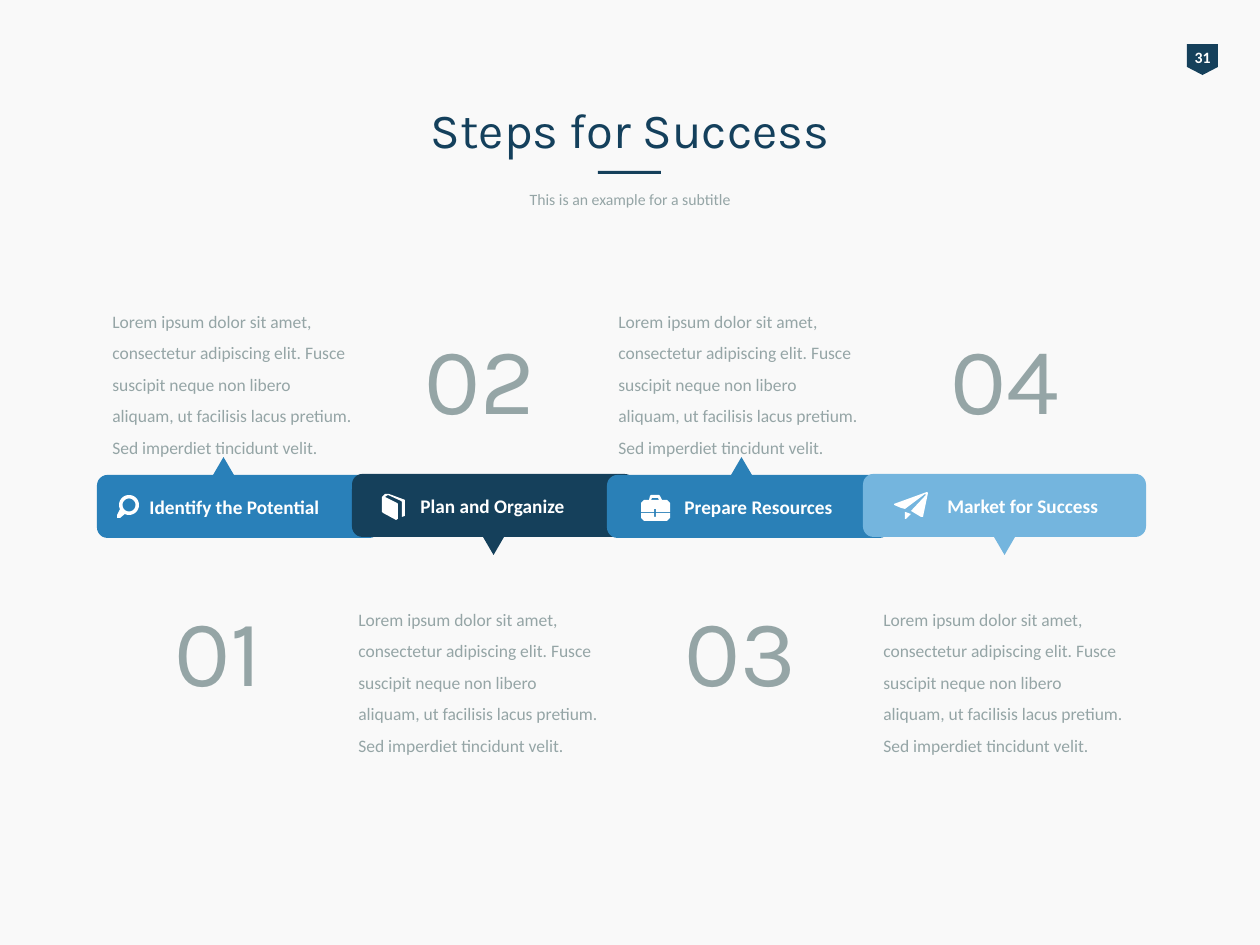
import math
import pptx
import pptx.dml.color
import pptx.enum.shapes
import pptx.enum.text
import pptx.util

RGBColor = pptx.dml.color.RGBColor
Shape = pptx.enum.shapes.MSO_SHAPE
Align = pptx.enum.text.PP_ALIGN
Anchor = pptx.enum.text.MSO_ANCHOR
Pt = pptx.util.Pt

SCALE = 914400 / 126
PAGE_COLOR = RGBColor(0xF9, 0xF9, 0xF9)
NAVY = RGBColor(0x15, 0x40, 0x5B)
TITLE_NAVY = RGBColor(0x14, 0x40, 0x5C)
BLUE = RGBColor(0x29, 0x80, 0xB9)
MID_BLUE = RGBColor(0x2A, 0x80, 0xB7)
SKY = RGBColor(0x74, 0xB5, 0xDE)
GRAY = RGBColor(0x95, 0xA5, 0xA6)
WHITE = RGBColor(0xFF, 0xFF, 0xFF)

BODY = ("Lorem ipsum dolor sit amet, consectetur adipiscing elit. Fusce suscipit neque "
        "non libero aliquam, ut facilisis lacus pretium. Sed imperdiet tincidunt velit.")
TITLE_FONT = {"name": "Karla", "size": Pt(28)}
NUMBER_FONT = {"name": "Karla", "size": Pt(54)}
SUBTITLE_FONT = {"name": "Calibri", "size": Pt(9)}
BODY_FONT = {"name": "Calibri", "size": Pt(10)}
BADGE_FONT = {"name": "Calibri", "size": Pt(9), "bold": True}
LABEL_FONT = {"name": "Calibri", "size": Pt(11), "bold": True}
BAR_WIDTH, BAR_HEIGHT = 283, 63
POINTER_WIDTH, POINTER_HEIGHT = 21, 18


def px(value):
    return pptx.util.Emu(round(value * SCALE))


def arc(center_x, center_y, radius, start, end, step):
    angles = [math.radians(angle) for angle in range(start, end, step)]
    return [(center_x + radius * math.cos(angle), center_y + radius * math.sin(angle))
            for angle in angles]


MAGNIFIER = [
    arc(129, 505, 10, 155, 480, 10) + [(120, 518), (117, 518), (117, 515)],
    arc(129, 505, 6.5, 360, 0, -10),
]
BOOK = [[(405, 500), (389, 494), (385, 494), (382, 497), (382, 512), (383, 513),
         (396, 520), (398, 519), (398, 504), (397, 503), (385, 497), (388, 495),
         (401, 501), (402, 502), (402, 517), (405, 516)]]
BRIEFCASE = [
    [(654, 509), (656, 509), (656, 512), (670, 512), (670, 503), (667, 500),
     (662, 500), (660, 496), (659, 495), (651, 495), (650, 496), (649, 500),
     (644, 500), (641, 503), (641, 512), (654, 512)],
    [(651, 500), (652, 498), (658, 498), (659, 500)],
    [(656, 517), (654, 517), (654, 513), (641, 513), (641, 518), (644, 521),
     (667, 521), (670, 518), (670, 513), (656, 513)],
]
PAPER_PLANE = [
    [(927, 492), (894, 504), (894, 505), (901, 508), (905, 509), (925, 494),
     (926, 495), (911, 511), (921, 517), (923, 517), (928, 493)],
    [(905, 512), (905, 519), (906, 519), (911, 514)],
]

STEPS = [
    ("Identify the Potential", BLUE, MAGNIFIER, 475, 137, 213, 131, 100),
    ("Plan and Organize", NAVY, BOOK, 474, 408, 483, 392, 346),
    ("Prepare Resources", MID_BLUE, BRIEFCASE, 475, 672, 731, 653, 606),
    ("Market for Success", SKY, PAPER_PLANE, 474, 935, 994, 917, 871),
]


def paint(shape, color):
    shape.shadow.inherit = False
    shape.fill.solid()
    shape.fill.fore_color.rgb = color
    shape.line.fill.background()


def add_block(shapes, kind, left, top, width, height, color):
    block = shapes.add_shape(kind, px(left), px(top), px(width), px(height))
    paint(block, color)
    return block


def add_icon(shapes, outlines):
    builder = None
    for outline in outlines:
        start, *rest = [(px(x), px(y)) for x, y in outline]
        if builder is None:
            builder = shapes.build_freeform(*start, scale=1.0)
        else:
            builder.move_to(*start)
        builder.add_line_segments(rest, close=True)
    paint(builder.convert_to_shape(), WHITE)


def add_text(shapes, text, left, top, width, height, font, color,
             align=Align.LEFT, anchor=Anchor.TOP, spacing=1.0, wrap=True):
    box = shapes.add_textbox(px(left), px(top), px(width), px(height))
    frame = box.text_frame
    for name, value in {"word_wrap": wrap, "vertical_anchor": anchor}.items():
        setattr(frame, name, value)
    para = frame.paragraphs[0]
    for name, value in {"alignment": align, "line_spacing": spacing}.items():
        setattr(para, name, value)
    span = para.add_run()
    span.text = text
    for name, value in font.items():
        setattr(span.font, name, value)
    span.font.color.rgb = color


def add_header(page):
    badge = page.shapes.add_group_shape().shapes
    plate = add_block(badge, Shape.PENTAGON, 1187, 44, 31, 31, NAVY)
    plate.adjustments[0] = 0.26
    plate.rotation = 90
    add_text(badge, "31", 1182, 42, 41, 24, BADGE_FONT, WHITE,
             align=Align.CENTER, wrap=False)
    add_text(page.shapes, "Steps for Success", 63, 102, 1134, 54, TITLE_FONT,
             TITLE_NAVY, align=Align.CENTER, anchor=Anchor.MIDDLE)
    add_text(page.shapes, "This is an example for a subtitle", 63, 184, 1134, 24,
             SUBTITLE_FONT, GRAY, align=Align.CENTER)
    add_block(page.shapes, Shape.RECTANGLE, 598, 171, 63, 3, NAVY)


def add_step(page, index, step):
    title, color, icon, top, label_left, pointer_left, number_left, body_left = step
    points_up = index % 2 == 0
    group = page.shapes.add_group_shape().shapes
    add_block(group, Shape.ROUNDED_RECTANGLE, 97 + index * 766 // 3, top,
              BAR_WIDTH, BAR_HEIGHT, color)
    add_text(group, title, label_left, top + 14, 210, 38, LABEL_FONT, WHITE)
    pointer_top = top - POINTER_HEIGHT if points_up else top + BAR_HEIGHT
    pointer = add_block(group, Shape.ISOSCELES_TRIANGLE, pointer_left, pointer_top,
                        POINTER_WIDTH, POINTER_HEIGHT, color)
    pointer.rotation = 0 if points_up else 180
    add_icon(group, icon)
    add_text(page.shapes, BODY, body_left, 294 if points_up else 592, 268, 113,
             BODY_FONT, GRAY, spacing=1.5)
    add_text(page.shapes, f"{index + 1:02d}", number_left, 601 if points_up else 329,
             175, 96, NUMBER_FONT, GRAY, align=Align.CENTER, anchor=Anchor.MIDDLE)


def main():
    deck = pptx.Presentation()
    deck.slide_width, deck.slide_height = px(1260), px(945)
    page = deck.slides.add_slide(deck.slide_layouts[6])
    page.background.fill.solid()
    page.background.fill.fore_color.rgb = PAGE_COLOR
    add_header(page)
    for index, step in enumerate(STEPS):
        add_step(page, index, step)
    deck.save("out.pptx")


if __name__ == "__main__":
    main()
